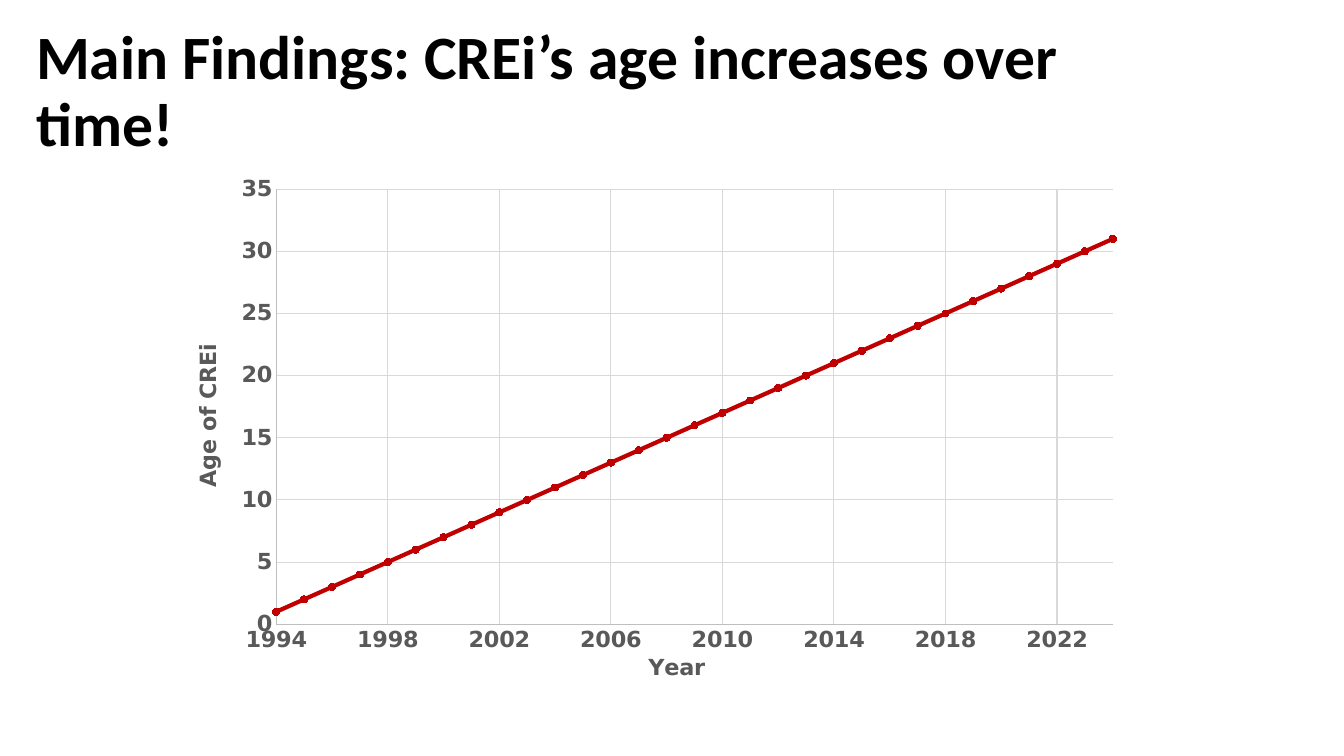
from lxml.etree import SubElement
from pptx import Presentation
from pptx.chart.data import XyChartData
from pptx.dml.color import RGBColor
from pptx.enum.chart import XL_CHART_TYPE, XL_MARKER_STYLE, XL_TICK_MARK
from pptx.enum.text import MSO_ANCHOR
from pptx.oxml.ns import qn
from pptx.util import Inches, Pt

COLORS = {
    "title": "000000",
    "label": "595959",
    "axis": "BFBFBF",
    "grid": "D9D9D9",
    "age": "C00000",
}
TITLE_FONT = "Calibri"
CHART_FONT = "DejaVu Sans"


def rgb(name):
    return RGBColor.from_string(COLORS[name])


def style_font(font, name, size, color, bold=True):
    font.name = name
    font.size = Pt(size)
    font.bold = bold
    font.color.rgb = rgb(color)


def style_line(line, color, width):
    line.color.rgb = rgb(color)
    line.width = Pt(width)


def write_text(tf, text, font=CHART_FONT, size=16, color="label", spacing=None):
    p = tf.paragraphs[0]
    p.line_spacing = spacing
    r = p.add_run()
    r.text = text
    style_font(r.font, font, size, color)


def add_title(slide, text):
    sp = slide.shapes.add_textbox(Inches(0.26), Inches(0.2), Inches(11.5), Inches(1.45))
    tf = sp.text_frame
    tf.word_wrap = True
    tf.vertical_anchor = MSO_ANCHOR.MIDDLE
    write_text(tf, text, font=TITLE_FONT, size=44, color="title", spacing=0.9)


def set_layout(element, position, after=None, inner=False):
    for old in element.findall(qn("c:layout")):
        element.remove(old)
    layout = SubElement(element, qn("c:layout"))
    element.insert(0 if after is None else element.index(after) + 1, layout)
    manual = SubElement(layout, qn("c:manualLayout"))
    if inner:
        SubElement(manual, qn("c:layoutTarget")).set("val", "inner")
    for key in ("xMode", "yMode"):
        SubElement(manual, qn(f"c:{key}")).set("val", "edge")
    for key, value in zip("xywh", position):
        SubElement(manual, qn(f"c:{key}")).set("val", str(value))


def style_axis(axis, title, position, low, high, step):
    axis.minimum_scale, axis.maximum_scale, axis.major_unit = low, high, step
    axis.major_tick_mark = axis.minor_tick_mark = XL_TICK_MARK.NONE
    axis.has_major_gridlines = True
    style_line(axis.major_gridlines.format.line, "grid", 0.75)
    style_line(axis.format.line, "axis", 0.75)
    style_font(axis.tick_labels.font, CHART_FONT, 16, "label")
    axis.tick_labels.number_format = "General"
    axis.tick_labels.number_format_is_linked = False
    write_text(axis.axis_title.text_frame, title)
    element = axis.axis_title._element
    set_layout(element, position, after=element.find(qn("c:tx")))


def add_age_chart(slide):
    data = XyChartData()
    ages = data.add_series("Series 1")
    for year in range(1994, 2025):
        ages.add_data_point(year, year - 1993)
    chart = slide.shapes.add_chart(
        XL_CHART_TYPE.XY_SCATTER_SMOOTH,
        Inches(1.46), Inches(1.31), Inches(10.49), Inches(5.51), data,
    ).chart
    chart.has_title = False
    chart.has_legend = False
    style_font(chart.font, CHART_FONT, 16, "title")
    chart.plots[0].vary_by_categories = False
    style_axis(chart.category_axis, "Year", (0.47, 0.94), 1994, 2024, 4)
    style_axis(chart.value_axis, "Age of CREi", (0.04, 0.38), 0, 35, 5)
    plot_area = chart._chartSpace.chart.plotArea
    set_layout(plot_area, (0.122, 0.104, 0.791, 0.791), inner=True)

    series = chart.plots[0].series[0]
    series.smooth = True
    style_line(series.format.line, "age", 3)
    marker = series.marker
    marker.style = XL_MARKER_STYLE.CIRCLE
    marker.size = 5
    marker.format.fill.solid()
    marker.format.fill.fore_color.rgb = rgb("age")
    style_line(marker.format.line, "age", 0.75)


def main():
    prs = Presentation()
    prs.slide_width, prs.slide_height = Inches(13.33), Inches(7.5)
    slide = prs.slides.add_slide(prs.slide_layouts[6])
    add_age_chart(slide)
    add_title(slide, "Main Findings: CREi’s age increases over time!")
    prs.save("out.pptx")


if __name__ == "__main__":
    main()
